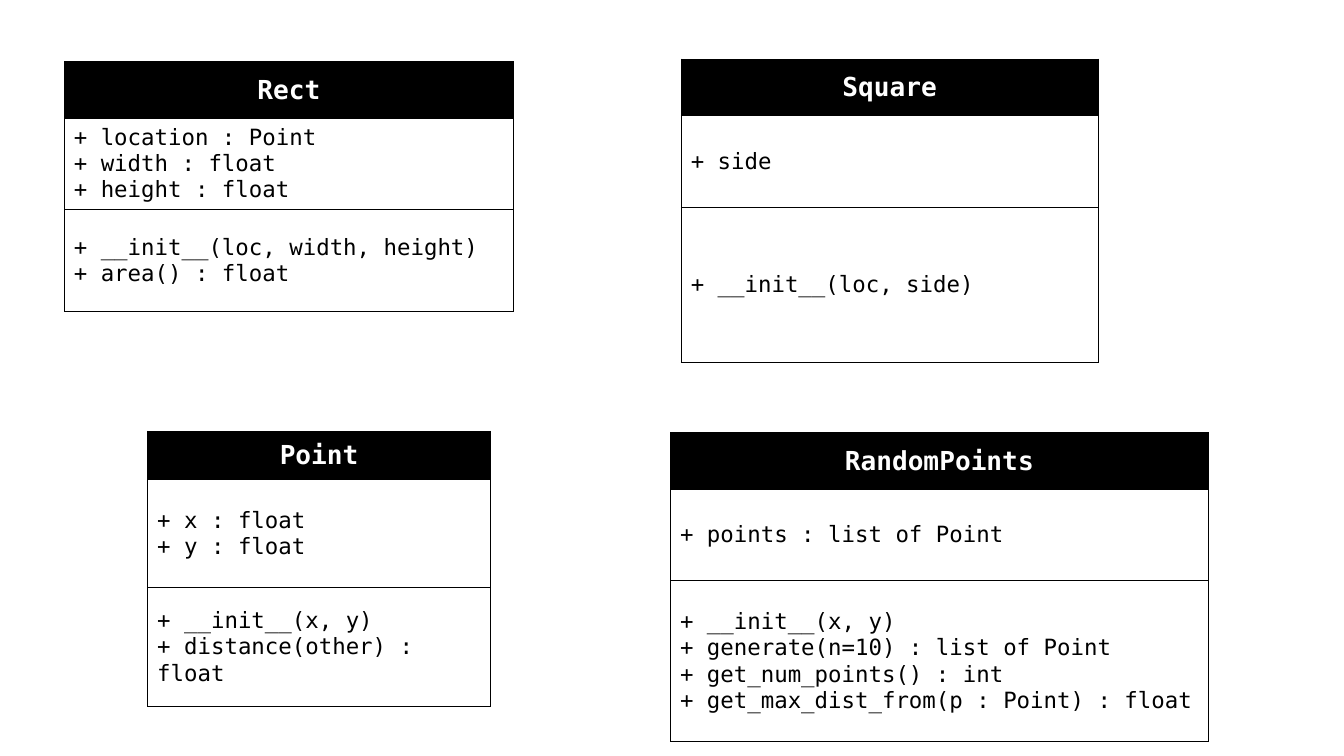
from lxml import etree
from pptx import Presentation
from pptx.dml.color import RGBColor
from pptx.enum import text
from pptx.oxml import ns
from pptx.util import Inches, Pt

COLORS = {"ink": "000000", "paper": "FFFFFF"}
FONT = "DejaVu Sans Mono"


def rgb(name):
    return RGBColor.from_string(COLORS[name])


def add_borders(cell):
    tcPr = cell._tc.get_or_add_tcPr()
    for side in ("lnL", "lnR", "lnT", "lnB"):
        ln = etree.SubElement(tcPr, ns.qn("a:" + side), w=str(Pt(0.5)))
        fill = etree.SubElement(ln, ns.qn("a:solidFill"))
        etree.SubElement(fill, ns.qn("a:srgbClr"), val=COLORS["ink"])


# Widescreen slide, 16:9
prs = Presentation()
prs.slide_width = Inches(10)
prs.slide_height = Inches(10 * 9 / 16)
s = prs.slides.add_slide(prs.slide_layouts[6])

# Class boxes: left, top, width, row heights, then name, attributes, methods
classes = [
    (0.48, 0.46, 3.34, (0.42, 0.68, 0.76),
     (["Rect"],
      ["+ location : Point", "+ width : float", "+ height : float"],
      ["+ __init__(loc, width, height)", "+ area() : float"])),
    (5.07, 0.44, 3.1, (0.42, 0.68, 1.16),
     (["Square"],
      ["+ side"],
      ["+ __init__(loc, side)"])),
    (1.1, 3.21, 2.55, (0.36, 0.8, 0.89),
     (["Point"],
      ["+ x : float", "+ y : float"],
      ["+ __init__(x, y)", "+ distance(other) : float"])),
    (4.99, 3.22, 4, (0.42, 0.68, 1.2),
     (["RandomPoints"],
      ["+ points : list of Point"],
      ["+ __init__(x, y)", "+ generate(n=10) : list of Point",
       "+ get_num_points() : int", "+ get_max_dist_from(p : Point) : float"])),
]

for left, top, width, heights, sections in classes:
    table = s.shapes.add_table(3, 1, Inches(left), Inches(top), Inches(width),
                               Inches(sum(heights))).table
    table.horz_banding = False
    for i, (height, lines) in enumerate(zip(heights, sections)):
        header = i == 0
        table.rows[i].height = Inches(height)
        cell = table.cell(i, 0)
        cell.margin_left = cell.margin_right = Inches(0.07)
        cell.margin_top = cell.margin_bottom = Inches(0.04)
        cell.vertical_anchor = text.MSO_ANCHOR.MIDDLE
        add_borders(cell)
        cell.fill.solid()
        cell.fill.fore_color.rgb = rgb("ink" if header else "paper")

        # One paragraph per member
        tf = cell.text_frame
        tf.text = "\n".join(lines)
        for p in tf.paragraphs:
            p.alignment = text.PP_ALIGN.CENTER if header else text.PP_ALIGN.LEFT
            p.font.name = FONT
            p.font.size = Pt(14 if header else 12)
            p.font.bold = header
            p.font.color.rgb = rgb("paper" if header else "ink")

prs.save("out.pptx")
